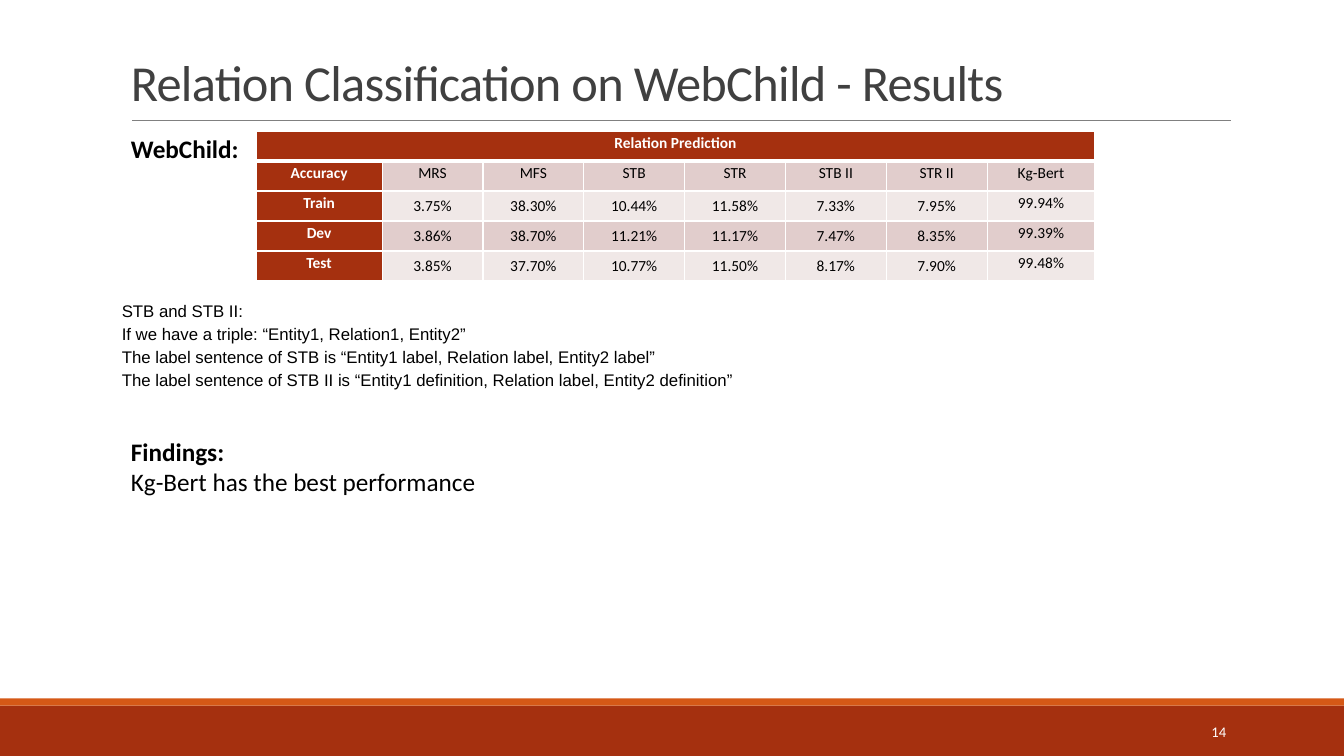
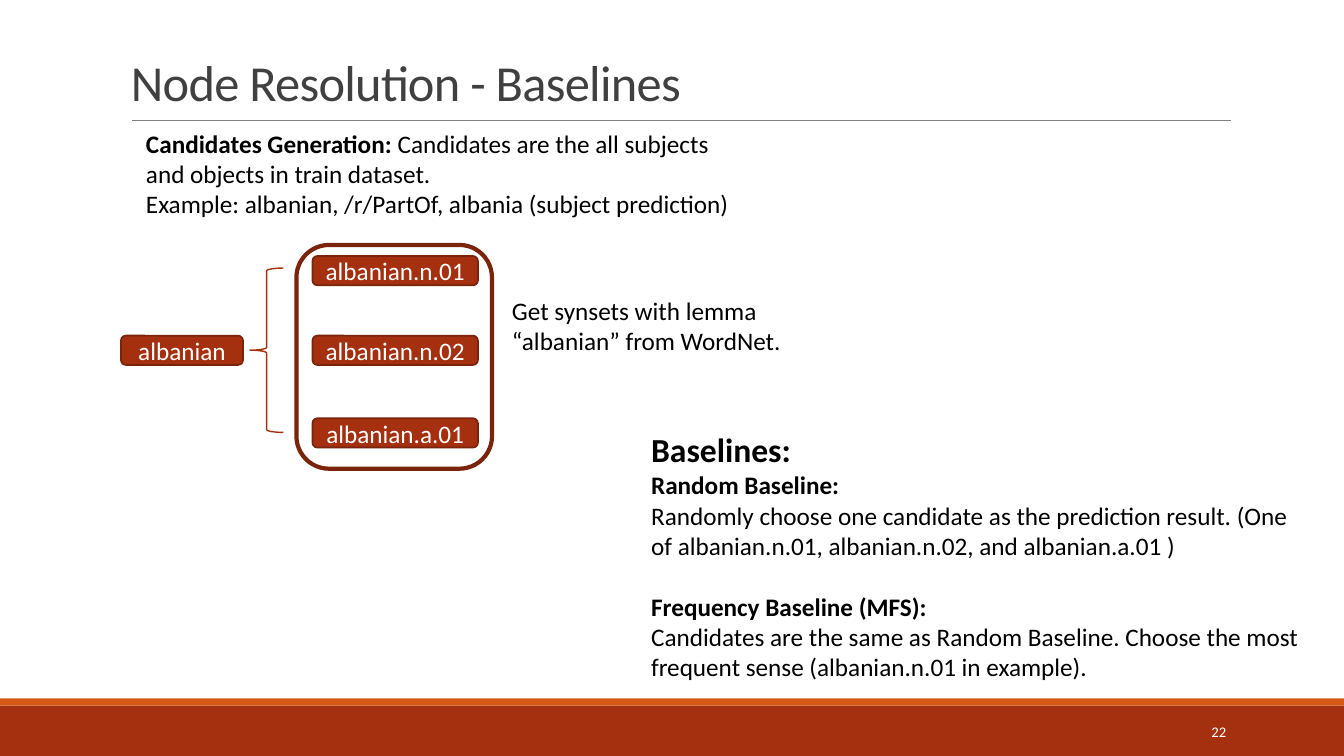
from dataclasses import dataclass

from lxml.etree import SubElement
from pptx import Presentation
from pptx.dml.color import RGBColor
from pptx.enum.shapes import MSO_CONNECTOR, MSO_SHAPE
from pptx.enum.text import MSO_ANCHOR, PP_ALIGN
from pptx.oxml.ns import qn
from pptx.util import Inches, Pt

COLORS = {
    "band": "A5300F",
    "stripe": "D55816",
    "outline": "7A240B",
    "rule": "808080",
    "title": "404040",
    "text": "000000",
    "white": "FFFFFF",
    "row_dark": "E1CDCC",
    "row_light": "F0E8E7",
}
BODY_FONT = "Calibri"
PAGE_WIDTH, PAGE_HEIGHT = 13.33, 7.5


@dataclass(frozen=True)
class Box:
    left: float
    top: float
    width: float
    height: float

    def lengths(self):
        return [Inches(value) for value in (self.left, self.top, self.width, self.height)]


@dataclass(frozen=True)
class Span:
    text: str
    bold: bool = False


@dataclass(frozen=True)
class Para:
    spans: tuple[Span, ...]
    size: float = 18
    color: str = "text"
    font: str = BODY_FONT
    align: PP_ALIGN = PP_ALIGN.LEFT
    line_spacing: float = 1.0
    space_before: float = 0


def plain(text: str, **style) -> Para:
    return Para((Span(text),), **style)


def bold(text: str, **style) -> Para:
    return Para((Span(text, True),), **style)


def rgb(name: str) -> RGBColor:
    return RGBColor.from_string(COLORS[name])


def write(frame, paras: list[Para]) -> None:
    for index, para in enumerate(paras):
        paragraph = frame.paragraphs[0] if index == 0 else frame.add_paragraph()
        paragraph.alignment = para.align
        paragraph.line_spacing = para.line_spacing
        paragraph.space_before = Pt(para.space_before)
        font = paragraph.font
        font.name, font.size = para.font, Pt(para.size)
        font.color.rgb = rgb(para.color)
        same_weight = len({span.bold for span in para.spans}) == 1
        if same_weight:
            font.bold = para.spans[0].bold
        for span in para.spans:
            run = paragraph.add_run()
            run.text = span.text
            if not same_weight:
                run.font.bold = span.bold


def add_text(page, box: Box, paras: list[Para], anchor=MSO_ANCHOR.TOP):
    frame = page.shapes.add_textbox(*box.lengths()).text_frame
    frame.word_wrap = True
    frame.vertical_anchor = anchor
    write(frame, paras)
    return frame


def add_block(page, kind, box: Box, fill: str | None = None,
              line: str | None = None, line_width: float = 1):
    shape = page.shapes.add_shape(kind, *box.lengths())
    shape.shadow.inherit = False
    if fill:
        shape.fill.solid()
        shape.fill.fore_color.rgb = rgb(fill)
    else:
        shape.fill.background()
    if line:
        shape.line.color.rgb = rgb(line)
        shape.line.width = Pt(line_width)
    else:
        shape.line.fill.background()
    return shape


def add_node(page, box: Box, label: str) -> None:
    node = add_block(page, MSO_SHAPE.ROUNDED_RECTANGLE, box, "band", "outline", 1.25)
    node.text_frame.vertical_anchor = MSO_ANCHOR.MIDDLE
    write(node.text_frame, [plain(label, color="white", align=PP_ALIGN.CENTER)])


def add_page(deck, title: str, number: int):
    """Add a blank page with the shared bands, title, rule and page number."""
    page = deck.slides.add_slide(deck.slide_layouts[6])
    add_block(page, MSO_SHAPE.RECTANGLE, Box(0, 7, PAGE_WIDTH, 0.5), "band")
    add_block(page, MSO_SHAPE.RECTANGLE, Box(0, 6.93, PAGE_WIDTH, 0.07), "stripe")

    rule = page.shapes.add_connector(
        MSO_CONNECTOR.STRAIGHT, Inches(1.31), Inches(1.19), Inches(12.21), Inches(1.19))
    rule.line.color.rgb = rgb("rule")
    rule.line.width = Pt(0.5)
    SubElement(rule._element.spPr, qn("a:effectLst"))

    heading = add_text(page, Box(1.2, 0.31, 11, 0.85),
                       [plain(title, size=36, color="title", line_spacing=0.85)],
                       MSO_ANCHOR.BOTTOM)
    for run in heading.paragraphs[0].runs:
        run._r.get_or_add_rPr().set("spc", "-50")
    add_text(page, Box(10.83, 7.06, 1.43, 0.4),
             [plain(str(number), size=10.5, color="white", align=PP_ALIGN.RIGHT)],
             MSO_ANCHOR.MIDDLE)
    return page


def set_borders(cell, top: float, bottom: float) -> None:
    """Give a cell white borders; top and bottom widths are in points."""
    properties = cell._tc.get_or_add_tcPr()
    widths = {"a:lnL": 1, "a:lnR": 1, "a:lnT": top, "a:lnB": bottom}
    for position, (tag, width) in enumerate(widths.items()):
        border = SubElement(properties, qn(tag), w=str(Pt(width)))
        fill = SubElement(border, qn("a:solidFill"))
        SubElement(fill, qn("a:srgbClr"), val=COLORS["white"])
        properties.insert(position, border)


def style_cell(cell, row: int, column: int, last_column: int) -> None:
    is_header = row == 0 or column == 0
    is_centered = row > 1 and 0 < column < last_column
    side = 0.01 if is_centered else 0.07
    cell.margin_left = cell.margin_right = Inches(side)
    cell.margin_top = Inches(0.01 if is_centered else 0)
    cell.margin_bottom = 0
    cell.vertical_anchor = MSO_ANCHOR.MIDDLE if is_centered else MSO_ANCHOR.TOP
    cell.fill.solid()
    cell.fill.fore_color.rgb = rgb(
        "band" if is_header else "row_dark" if row % 2 else "row_light")
    set_borders(cell, top=3 if row == 1 else 1, bottom=3 if row == 0 else 1)


def add_accuracy_table(page) -> None:
    rows = [
        ["Relation Prediction"],
        ["Accuracy", "MRS", "MFS", "STB", "STR", "STB II", "STR II", "Kg-Bert"],
        ["Train", "3.75%", "38.30%", "10.44%", "11.58%", "7.33%", "7.95%", "99.94%"],
        ["Dev", "3.86%", "38.70%", "11.21%", "11.17%", "7.47%", "8.35%", "99.39%"],
        ["Test", "3.85%", "37.70%", "10.77%", "11.50%", "8.17%", "7.90%", "99.48%"],
    ]
    widths = [1.25] + [1] * 6 + [1.07]
    last_column = len(widths) - 1
    box = Box(2.54, 1.3, sum(widths), 1.49)
    table = page.shapes.add_table(len(rows), len(widths), *box.lengths()).table
    table.horz_banding = False
    for column, width in zip(table.columns, widths):
        column.width = Inches(width)
    for row in range(len(rows)):
        for column in range(len(widths)):
            style_cell(table.cell(row, column), row, column, last_column)
    table.cell(0, 0).merge(table.cell(0, last_column))
    for row, labels in enumerate(rows):
        for column, label in enumerate(labels):
            is_header = row == 0 or column == 0
            is_value = row > 1 and 0 < column < last_column
            para = Para((Span(label, is_header),), size=11,
                        color="white" if is_header else "text",
                        align=PP_ALIGN.CENTER, line_spacing=1 if is_value else 1.15)
            write(table.cell(row, column).text_frame, [para])


def build_results(deck) -> None:
    page = add_page(deck, "Relation Classification on WebChild - Results", 14)
    add_accuracy_table(page)
    notes = [
        "STB and STB II:",
        "If we have a triple: “Entity1, Relation1, Entity2”",
        "The label sentence of STB is “Entity1 label, Relation label, Entity2 label”",
        "The label sentence of STB II is “Entity1 definition, Relation label, Entity2 definition”",
    ]
    add_text(page, Box(1.11, 2.9, 11.84, 1.01),
             [plain(note, size=12, font="Arial", line_spacing=1.15) for note in notes])
    add_text(page, Box(1.2, 4.28, 4, 0.71),
             [bold("Findings:"), plain("Kg-Bert has the best performance")])
    add_text(page, Box(1.2, 1.27, 1.4, 0.4), [bold("WebChild:")])


def build_baselines(deck) -> None:
    page = add_page(deck, "Node Resolution - Baselines", 22)
    add_text(page, Box(1.35, 1.22, 6.06, 1.01), [
        Para((Span("Candidates Generation: ", True),
              Span("Candidates are the all subjects and objects in train dataset."))),
        plain("Example: albanian, /r/PartOf, albania (subject prediction)"),
    ])

    add_node(page, Box(1.2, 3.33, 1.21, 0.29), "albanian")
    add_block(page, MSO_SHAPE.LEFT_BRACE, Box(2.48, 2.66, 0.33, 1.63), line="band")
    synsets = {"albanian.n.01": 2.54, "albanian.n.02": 3.33, "albanian.a.01": 4.15}
    for label, top in synsets.items():
        add_node(page, Box(3.1, top, 1.64, 0.29), label)
    add_block(page, MSO_SHAPE.ROUNDED_RECTANGLE, Box(2.94, 2.43, 1.94, 2.22),
              line="outline", line_width=3)
    add_text(page, Box(4.98, 2.88, 3.23, 0.71),
             [plain("Get synsets with lemma “albanian” from WordNet.")])

    add_text(page, Box(6.36, 4.21, 6.67, 2.63), [
        bold("Baselines:", size=24),
        bold("Random Baseline:"),
        plain("Randomly choose one candidate as the prediction result. "
              "(One of albanian.n.01, albanian.n.02, and albanian.a.01 )"),
        bold("Frequency Baseline (MFS):", space_before=22),
        plain("Candidates are the same as Random Baseline. "
              "Choose the most frequent sense (albanian.n.01 in example)."),
    ])


def main() -> None:
    deck = Presentation()
    deck.slide_width = Inches(PAGE_WIDTH)
    deck.slide_height = Inches(PAGE_HEIGHT)
    build_results(deck)
    build_baselines(deck)
    deck.save("out.pptx")


if __name__ == "__main__":
    main()
